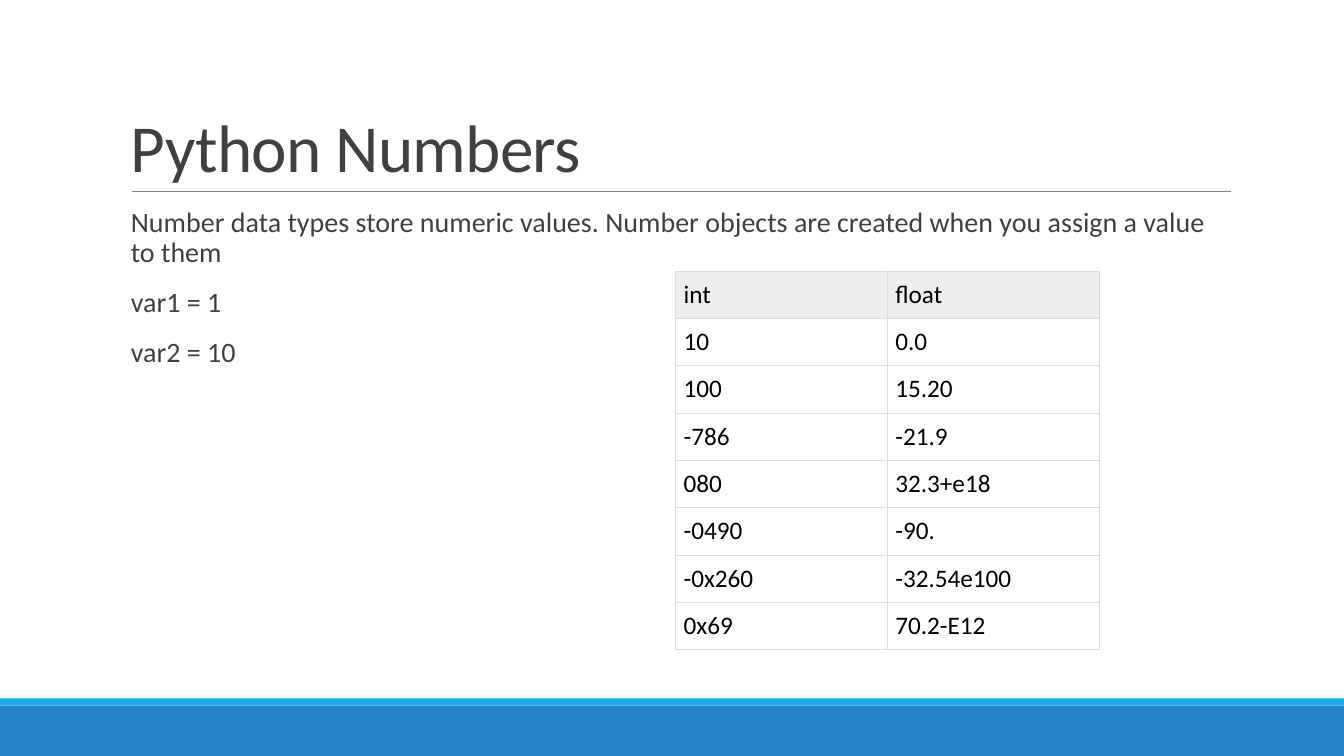
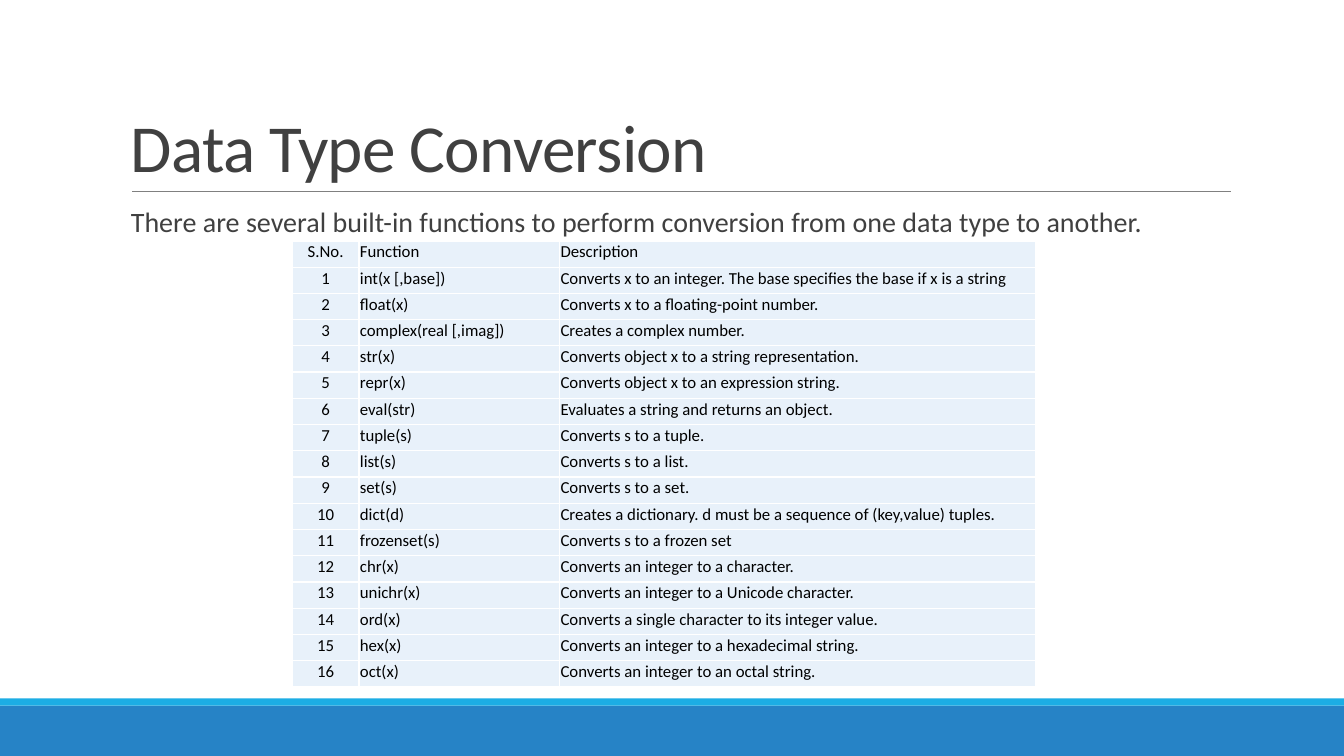
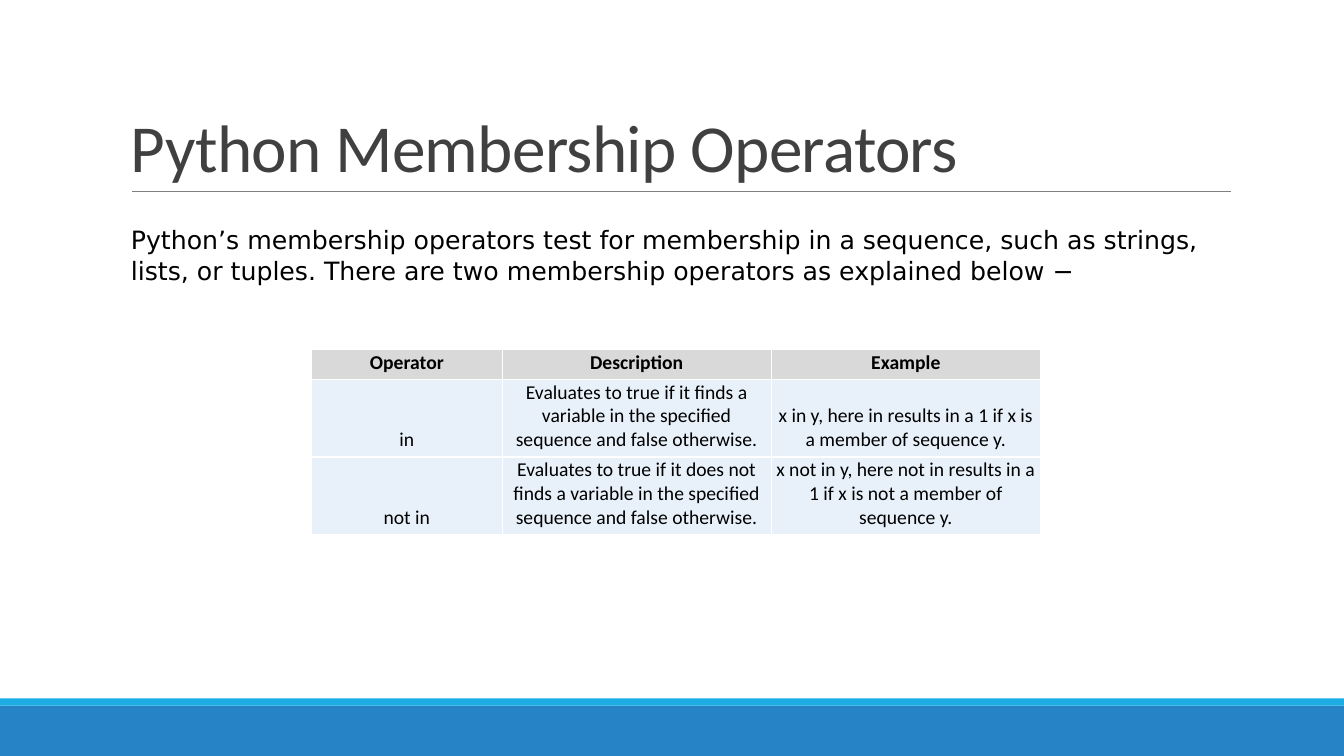
from lxml.etree import SubElement
from pptx import Presentation
from pptx.dml.color import RGBColor
from pptx.enum.shapes import MSO_CONNECTOR, MSO_SHAPE
from pptx.enum.text import MSO_ANCHOR, PP_ALIGN
from pptx.oxml.ns import qn
from pptx.util import Inches, Pt

FONT = "Calibri"
BLACK, WHITE, INK = "000000", "FFFFFF", "404040"
BLUE, CYAN, RULE = "2683C6", "1CADE4", "808080"
PALE_BLUE, HEADER_GRAY, LIGHT_GRAY, BORDER_GRAY = "E8F1FA", "D9D9D9", "EEEEEE", "DDDDDD"
LEFT, CENTER = PP_ALIGN.LEFT, PP_ALIGN.CENTER
TITLE_BOX = (1.2, 0.31, 11, 1.59)
BODY_BOX = (1.2, 2.02, 11, 4.4)
TIGHT_MARGINS = (0.01, 0.01, 0.01, 0.05)

NUMBERS = [
    ("int", "float"),
    ("10", "0.0"),
    ("100", "15.20"),
    ("-786", "-21.9"),
    ("080", "32.3+e18"),
    ("-0490", "-90."),
    ("-0x260", "-32.54e100"),
    ("0x69", "70.2-E12"),
]
CONVERSIONS = [
    ("int(x [,base])", "Converts x to an integer. The base specifies the base if x is a string"),
    ("float(x)", "Converts x to a floating-point number."),
    ("complex(real [,imag])", "Creates a complex number."),
    ("str(x)", "Converts object x to a string representation."),
    ("repr(x)", "Converts object x to an expression string."),
    ("eval(str)", "Evaluates a string and returns an object."),
    ("tuple(s)", "Converts s to a tuple."),
    ("list(s)", "Converts s to a list."),
    ("set(s)", "Converts s to a set."),
    ("dict(d)", "Creates a dictionary. d must be a sequence of (key,value) tuples."),
    ("frozenset(s)", "Converts s to a frozen set"),
    ("chr(x)", "Converts an integer to a character."),
    ("unichr(x)", "Converts an integer to a Unicode character."),
    ("ord(x)", "Converts a single character to its integer value."),
    ("hex(x)", "Converts an integer to a hexadecimal string."),
    ("oct(x)", "Converts an integer to an octal string."),
]
OPERATORS = [
    ("Operator", "Description", "Example"),
    ("in",
     "Evaluates to true if it finds a variable in the specified sequence and false otherwise.",
     "x in y, here in results in a 1 if x is a member of sequence y."),
    ("not in",
     "Evaluates to true if it does not finds a variable in the specified sequence and false otherwise.",
     "x not in y, here not in results in a 1 if x is not a member of sequence y."),
]


def color(value):
    """Turn a hex string into a colour."""
    return RGBColor.from_string(value)


def add_run(paragraph, text, size, ink, font=FONT, bold=False):
    """Append one styled run and return it."""
    run = paragraph.add_run()
    run.text = text
    run.font.name = font
    run.font.size = Pt(size)
    run.font.bold = bold
    run.font.color.rgb = color(ink)
    return run


def add_text_frame(slide, box, anchor=MSO_ANCHOR.TOP):
    """Add a wrapping text box and return its text frame."""
    frame = slide.shapes.add_textbox(*map(Inches, box)).text_frame
    frame.word_wrap = True
    frame.vertical_anchor = anchor
    return frame


def add_band(slide, box, fill):
    """Add one plain footer band."""
    shape = slide.shapes.add_shape(MSO_SHAPE.RECTANGLE, *map(Inches, box))
    shape.shadow.inherit = False
    shape.fill.solid()
    shape.fill.fore_color.rgb = color(fill)
    shape.line.fill.background()


def add_title_rule(slide, left, right, top):
    """Add the thin line under the title."""
    rule = slide.shapes.add_connector(
        MSO_CONNECTOR.STRAIGHT, Inches(left), Inches(top), Inches(right), Inches(top))
    rule.line.color.rgb = color(RULE)
    rule.line.width = Pt(0.5)
    SubElement(rule.element.spPr, qn("a:effectLst"))


def add_title(slide, box, text):
    """Add the slide title at the foot of its box."""
    paragraph = add_text_frame(slide, box, MSO_ANCHOR.BOTTOM).paragraphs[0]
    paragraph.line_spacing = 0.85
    run = add_run(paragraph, text, 48, INK)
    run.font._element.set("spc", "-50")


def add_titled_slide(presentation, title):
    """Start a slide with the shared bands, rule and title."""
    slide = presentation.slides.add_slide(presentation.slide_layouts[6])
    add_band(slide, (0, 7, 13.33, 0.5), BLUE)
    add_band(slide, (0, 6.93, 13.33, 0.07), CYAN)
    add_title_rule(slide, 1.31, 12.21, 1.9)
    add_title(slide, TITLE_BOX, title)
    return slide


def add_body(slide, box, lines):
    """Add the body paragraphs."""
    frame = add_text_frame(slide, box)
    frame.margin_left = Inches(0.1)
    frame.margin_right = 0
    for index, line in enumerate(lines):
        paragraph = frame.add_paragraph() if index else frame.paragraphs[0]
        paragraph.line_spacing = 0.9
        paragraph.space_before = Pt(12)
        paragraph.space_after = Pt(2)
        add_run(paragraph, line, 20, INK)


def set_borders(cell, ink, width):
    """Draw the four borders of a cell."""
    properties = cell._tc.get_or_add_tcPr()
    for side in ("lnL", "lnR", "lnT", "lnB"):
        line = SubElement(properties, qn(f"a:{side}"), w=str(Pt(width)))
        fill = SubElement(line, qn("a:solidFill"))
        SubElement(fill, qn("a:srgbClr"), val=ink)


def style_cell(cell, margins, anchor, border, fill):
    """Set margins, anchor, borders and fill of a cell."""
    left, top, right, bottom = map(Inches, margins)
    cell.margin_left, cell.margin_top = left, top
    cell.margin_right, cell.margin_bottom = right, bottom
    cell.vertical_anchor = anchor
    set_borders(cell, *border)
    if fill:
        cell.fill.solid()
        cell.fill.fore_color.rgb = color(fill)
    else:
        cell.fill.background()


def add_grid(slide, corner, rows, widths, heights, size, aligns, header_fill, body_fill,
             margins=TIGHT_MARGINS, anchor=MSO_ANCHOR.BOTTOM, border=(WHITE, 1),
             bold_header=False):
    """Add a table whose first row is the header."""
    box = (*corner, sum(widths), sum(heights))
    table = slide.shapes.add_table(len(rows), len(widths), *map(Inches, box)).table
    table.first_row = table.horz_banding = False
    for column, width in zip(table.columns, widths):
        column.width = Inches(width)
    for row, height in zip(table.rows, heights):
        row.height = Inches(height)
    for row_index, texts in enumerate(rows):
        header = row_index == 0
        for column_index, text in enumerate(texts):
            cell = table.cell(row_index, column_index)
            style_cell(cell, margins, anchor, border, header_fill if header else body_fill)
            paragraph = cell.text_frame.paragraphs[0]
            paragraph.alignment = aligns[column_index]
            add_run(paragraph, text, size, BLACK, bold=header and bold_header)


def build_numbers(presentation):
    """Build the slide on number types."""
    slide = add_titled_slide(presentation, "Python Numbers")
    add_body(slide, BODY_BOX, [
        "Number data types store numeric values. Number objects are created "
        "when you assign a value to them",
        "var1 = 1",
        "var2 = 10",
    ])
    add_grid(slide, (6.7, 2.69), NUMBERS, [2.1] * 2, [0.47] * len(NUMBERS), 18,
             [LEFT] * 2, LIGHT_GRAY, None, margins=[0.08] * 4,
             anchor=MSO_ANCHOR.TOP, border=(BORDER_GRAY, 0.75))


def build_conversions(presentation):
    """Build the slide on conversion functions."""
    slide = add_titled_slide(presentation, "Data Type Conversion")
    add_body(slide, BODY_BOX, [
        "There are several built-in functions to perform conversion "
        "from one data type to another.",
    ])
    rows = [("S.No.", "Function", "Description")]
    rows += [(str(number), *texts) for number, texts in enumerate(CONVERSIONS, 1)]
    add_grid(slide, (2.9, 2.39), rows, [0.66, 1.99, 4.72], [0.26] * len(rows), 12,
             [CENTER, LEFT, LEFT], PALE_BLUE, PALE_BLUE)


def build_membership(presentation):
    """Build the slide on membership operators."""
    slide = add_titled_slide(presentation, "Python Membership Operators")
    add_grid(slide, (3.09, 3.47), OPERATORS, [1.89, 2.67, 2.67], [0.29, 0.77, 0.77], 14,
             [CENTER] * 3, HEADER_GRAY, PALE_BLUE, bold_header=True)
    introduction = add_text_frame(slide, (1.2, 2.18, 11.3, 0.71))
    add_run(introduction.paragraphs[0],
            "Python’s membership operators test for membership in a sequence, such as "
            "strings, lists, or tuples. There are two membership operators as explained "
            "below −", 18, BLACK, font="DejaVu Sans")


def main():
    """Build and save the presentation."""
    presentation = Presentation()
    presentation.slide_width = Inches(13.33)
    presentation.slide_height = Inches(7.5)
    build_numbers(presentation)
    build_conversions(presentation)
    build_membership(presentation)
    presentation.save("out.pptx")


main()
